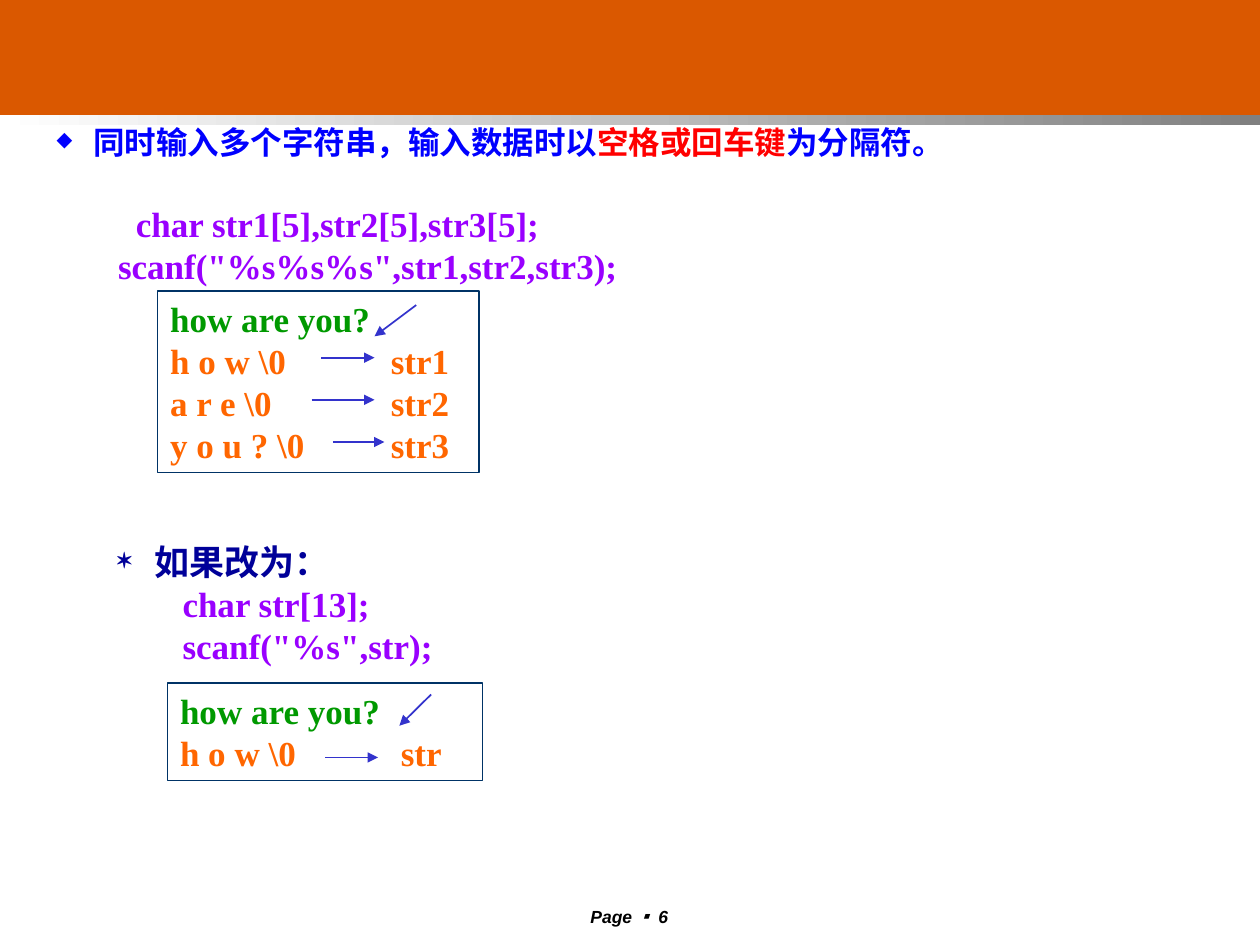
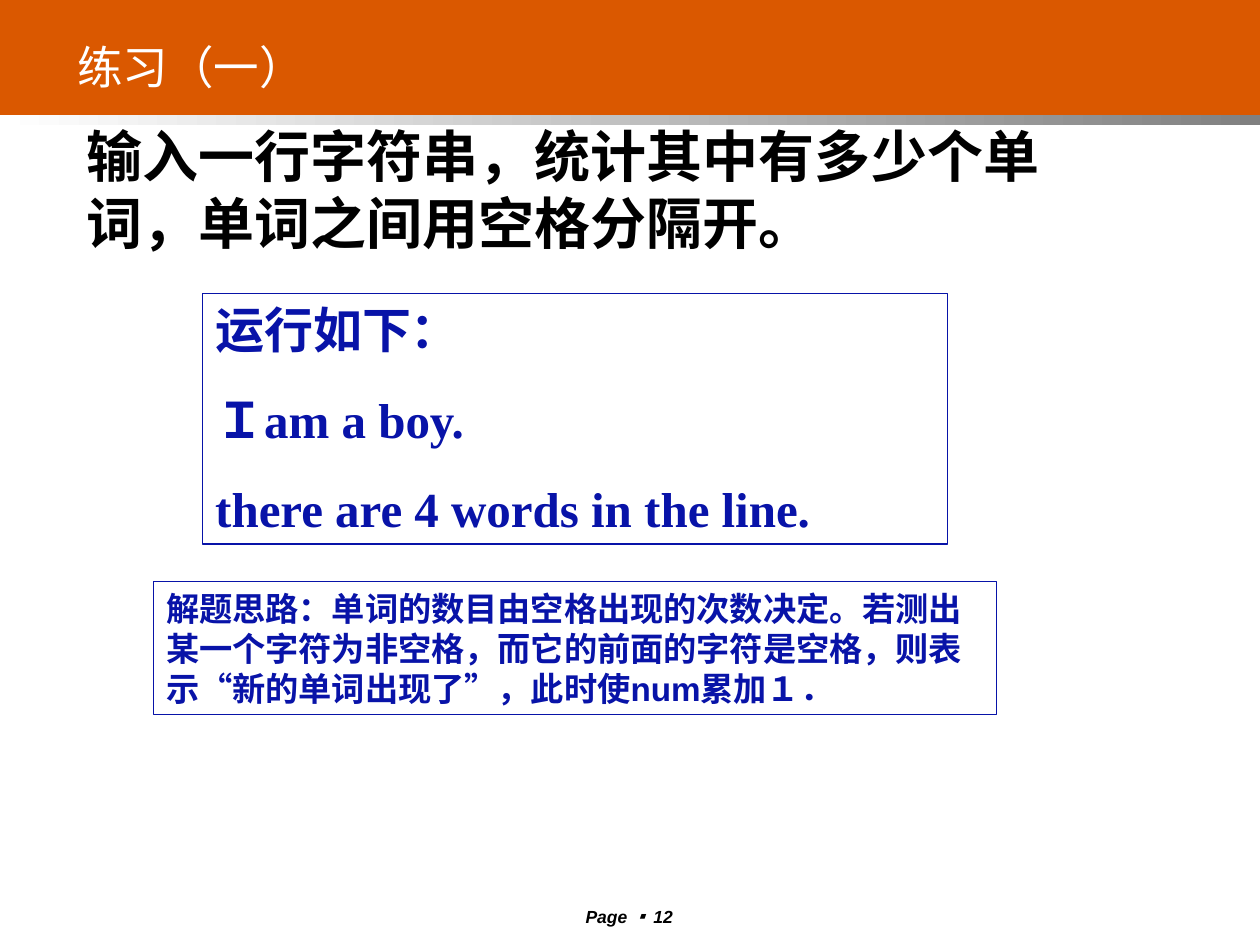
from dataclasses import dataclass
from lxml.etree import SubElement
from pptx import Presentation
from pptx.dml.color import RGBColor
from pptx.enum.shapes import MSO_CONNECTOR as Connector, MSO_SHAPE as Shape
from pptx.enum.text import MSO_ANCHOR as Anchor, PP_ALIGN as Align
from pptx.oxml.ns import qn
from pptx.util import Cm, Pt


@dataclass(frozen=True)
class Theme:
    """Colours, fonts and type sizes shared by the slides."""
    orange: str = "DA5800"
    grey: str = "808080"
    white: str = "FFFFFF"
    black: str = "000000"
    blue: str = "0000FF"
    red: str = "FF0000"
    purple: str = "9900FF"
    navy: str = "000099"
    green: str = "009900"
    stored: str = "FF6600"
    frame: str = "003366"
    arrow: str = "3333CC"
    exercise: str = "0813A8"
    serif: str = "Times New Roman"
    sans: str = "Arial"
    mono: str = "Courier New"
    chinese: str = "Noto Sans CJK JP"
    footer_size: int = 10
    lead_size: int = 18
    hint_size: int = 19
    code_size: int = 20
    title_size: int = 26
    sample_size: int = 28
    task_size: int = 32
    line_factor: float = 1.2


@dataclass(frozen=True)
class Box:
    """A region in centimetres."""
    left: float
    top: float
    width: float
    height: float

    def lengths(self):
        """Return the region as slide lengths."""
        return Cm(self.left), Cm(self.top), Cm(self.width), Cm(self.height)


@dataclass(frozen=True)
class Line:
    """One paragraph: coloured pieces, indents in centimetres and bullet."""
    pieces: tuple
    margin: float = 0
    hanging: float = 0
    bullet: str = ""
    bullet_percent: int = 100
    space_before: float = 0


THEME = Theme()


def colour(value):
    """Turn a hexadecimal string into a colour."""
    return RGBColor.from_string(value)


def style_run(run, size, font, ink, bold=True, italic=False):
    """Format a run, with the Chinese font for its East Asian letters."""
    run.font.size = Pt(size)
    run.font.bold = bold
    run.font.italic = italic
    run.font.color.rgb = colour(ink)
    run.font.name = font
    SubElement(run.font._element, qn("a:ea")).set("typeface", THEME.chinese)


def set_indent(paragraph, line):
    """Set the margin, hanging indent and bullet of a paragraph."""
    properties = paragraph._p.get_or_add_pPr()
    properties.set("marL", str(Cm(line.margin)))
    properties.set("indent", str(-Cm(line.hanging)))
    if line.bullet:
        bullet_colour = SubElement(properties, qn("a:buClr"))
        SubElement(bullet_colour, qn("a:srgbClr")).set("val", line.pieces[0][1])
        SubElement(properties, qn("a:buSzPct")).set("val", str(line.bullet_percent * 1000))
        SubElement(properties, qn("a:buChar")).set("char", line.bullet)
    else:
        SubElement(properties, qn("a:buNone"))


def write_lines(shape, lines, size, font):
    """Write paragraphs into a shape with an even line pitch."""
    frame = shape.text_frame
    frame.word_wrap = True
    for index, line in enumerate(lines):
        paragraph = frame.add_paragraph() if index else frame.paragraphs[0]
        paragraph.alignment = Align.LEFT
        set_indent(paragraph, line)
        paragraph.line_spacing = Pt(size * THEME.line_factor)
        if line.space_before:
            paragraph.space_before = Pt(line.space_before)
        for text, ink in line.pieces:
            run = paragraph.add_run()
            run.text = text
            style_run(run, size, font, ink)


def add_text(slide, box, lines, size, font):
    """Add unframed text."""
    write_lines(slide.shapes.add_textbox(*box.lengths()), lines, size, font)


def add_panel(slide, box, lines, size, font, outline):
    """Add text in a thin unfilled frame."""
    shape = slide.shapes.add_shape(Shape.RECTANGLE, *box.lengths())
    shape.shadow.inherit = False
    shape.fill.background()
    shape.line.color.rgb = colour(outline)
    shape.line.width = Pt(0.75)
    shape.text_frame.vertical_anchor = Anchor.TOP
    write_lines(shape, lines, size, font)


def add_arrow(slide, box, start, end):
    """Draw an arrow between two points measured from the corner of a box."""
    points = [Cm(origin + offset) for point in (start, end)
              for origin, offset in zip((box.left, box.top), point)]
    arrow = slide.shapes.add_connector(Connector.STRAIGHT, *points)
    arrow.line.color.rgb = colour(THEME.arrow)
    arrow.line.width = Pt(1)
    SubElement(arrow.line._get_or_add_ln(), qn("a:tailEnd")).set("type", "triangle")
    SubElement(arrow._element.spPr, qn("a:effectLst"))


def add_band(slide, box):
    """Add a plain band without outline and return it."""
    band = slide.shapes.add_shape(Shape.RECTANGLE, *box.lengths())
    band.shadow.inherit = False
    band.line.fill.background()
    return band


def add_header(slide):
    """Draw the orange band and the fading stripe under it."""
    header = add_band(slide, Box(0, 0, 25.4, 2.32))
    header.fill.solid()
    header.fill.fore_color.rgb = colour(THEME.orange)
    stripe = add_band(slide, Box(0, 2.32, 25.4, 0.2))
    stripe.fill.gradient()
    stripe.fill.gradient_angle = 180
    for stop, ink, position in zip(stripe.fill.gradient_stops, (THEME.grey, THEME.white), (0, 1)):
        stop.color.rgb = colour(ink)
        stop.position = position


def add_footer(slide, box, number):
    """Write the page number."""
    footer = slide.shapes.add_textbox(*box.lengths())
    footer.text_frame.word_wrap = True
    paragraph = footer.text_frame.paragraphs[0]
    paragraph.alignment = Align.CENTER
    for text, font in (("Page ", THEME.sans), ("▪ ", THEME.chinese), (str(number), THEME.sans)):
        run = paragraph.add_run()
        run.text = text
        style_run(run, THEME.footer_size, font, THEME.black, italic=True)


def set_title(slide, box, text):
    """Place the title placeholder over the header."""
    title = slide.shapes.title
    title.left, title.top, title.width, title.height = box.lengths()
    title.text_frame.text = text
    title.text_frame.vertical_anchor = Anchor.MIDDLE
    paragraph = title.text_frame.paragraphs[0]
    paragraph.alignment = Align.LEFT
    style_run(paragraph.runs[0], THEME.title_size, THEME.mono, THEME.white, bold=False)
    slide.shapes.element.append(title.element)


def start_slide(presentation, layout_name, number):
    """Add a slide with the shared header and footer."""
    slide = presentation.slides.add_slide(presentation.slide_layouts.get_by_name(layout_name))
    add_header(slide)
    add_footer(slide, Box(10.69, 18.14, 3.99, 0.56), number)
    return slide


def add_memory_panel(slide, box, stored, enter_arrow, first_row, row_arrows):
    """Show the typed line and, by arrows, which string receives which characters."""
    pitch, name_left = 0.85, 4.45
    cells = [Line((("how are you?", THEME.green),))]
    cells += [Line(((characters, THEME.stored),)) for characters, _ in stored]
    add_panel(slide, box, cells, THEME.code_size, THEME.serif, THEME.frame)
    names = [Line(((name, THEME.stored),)) for _, name in stored]
    name_box = Box(box.left + name_left, box.top + pitch, box.width - name_left, box.height - pitch)
    add_text(slide, name_box, names, THEME.code_size, THEME.serif)
    add_arrow(slide, box, *enter_arrow)
    for row, (start, end) in enumerate(row_arrows):
        height = first_row + row * pitch
        add_arrow(slide, box, (start, height), (end, height))


def build_input_slide(presentation):
    """Explain how several strings are read at once."""
    slide = start_slide(presentation, "Blank", 6)
    lead = (("同时输入多个字符串，输入数据时以", THEME.blue),
            ("空格或回车键", THEME.red), ("为分隔符。", THEME.blue))
    add_text(slide, Box(0.89, 2.35, 22.2, 1), [Line(lead, 0.74, 0.74, "◆", 65)],
             THEME.lead_size, THEME.serif)
    declaration = [Line((("char str1[5],str2[5],str3[5];", THEME.purple),), 1.6),
                   Line((('scanf("%s%s%s",str1,str2,str3);', THEME.purple),), 1.24)]
    add_text(slide, Box(0.89, 3.95, 22.2, 1.95), declaration, THEME.code_size, THEME.serif)
    add_memory_panel(slide, Box(3.18, 5.87, 6.48, 3.66),
                     (("h o w \\0", "str1"), ("a r e \\0", "str2"), ("y o u ? \\0", "str3")),
                     ((5.21, 0.28), (4.37, 0.91)), 1.34,
                     ((3.3, 4.37), (3.1, 4.37), (3.53, 4.57)))
    change = [Line((("如果改为：", THEME.navy),), 1.98, 0.76, "✶", 85),
              Line((("char str[13];", THEME.purple),), 2.54),
              Line((('scanf("%s",str);', THEME.purple),), 2.54)]
    add_text(slide, Box(0.89, 10.78, 22.2, 2.8), change, THEME.code_size, THEME.serif)
    add_memory_panel(slide, Box(3.38, 13.77, 6.35, 1.96), (("h o w \\0", "str"),),
                     ((5.31, 0.23), (4.67, 0.86)), 1.5, ((3.18, 4.24),))


def build_exercise_slide(presentation):
    """Set the word-counting exercise."""
    slide = start_slide(presentation, "Title Only", 12)
    set_title(slide, Box(1.3, 0.53, 22.81, 1.6), "练习（一）")
    task = "输入一行字符串，统计其中有多少个单词，单词之间用空格分隔开。"
    add_text(slide, Box(1.5, 2.33, 20.8, 2.97), [Line(((task, THEME.black),))],
             THEME.task_size, THEME.sans)
    sample = [Line(((text, THEME.exercise),), space_before=17.5 if index else 0)
              for index, text in enumerate(("运行如下：", "Ｉam a boy.",
                                            "there are 4 words in the line."))]
    add_panel(slide, Box(4.09, 5.92, 15.01, 5.05), sample, THEME.sample_size, THEME.serif,
              THEME.exercise)
    hint = ("解题思路：单词的数目由空格出现的次数决定。若测出某一个字符为非空格，"
            "而它的前面的字符是空格，则表示“新的单词出现了”，此时使num累加１．")
    add_panel(slide, Box(3.1, 11.73, 16.99, 2.67), [Line(((hint, THEME.exercise),))],
              THEME.hint_size, THEME.sans, THEME.exercise)


def main():
    """Build and save the presentation."""
    presentation = Presentation()
    presentation.slide_width, presentation.slide_height = Cm(25.4), Cm(19.05)
    build_input_slide(presentation)
    build_exercise_slide(presentation)
    presentation.save("out.pptx")


if __name__ == "__main__":
    main()
